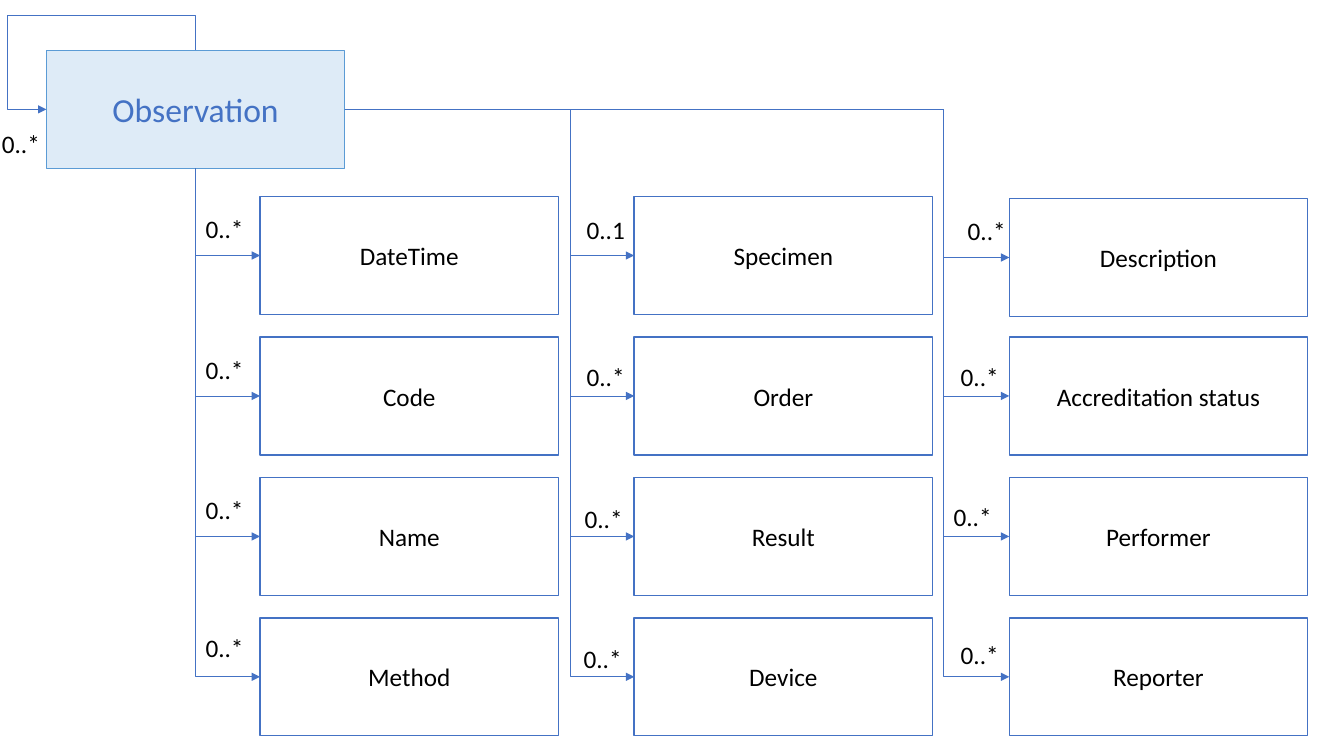
from lxml import etree
from pptx import Presentation
from pptx.dml.color import RGBColor
from pptx.enum.shapes import MSO_CONNECTOR, MSO_SHAPE
from pptx.enum.text import MSO_ANCHOR, MSO_AUTO_SIZE, PP_ALIGN
from pptx.oxml.ns import qn
from pptx.util import Inches, Pt

RECT = MSO_SHAPE.RECTANGLE
ELBOW = MSO_CONNECTOR.ELBOW
MIDDLE, TOP = MSO_ANCHOR.MIDDLE, MSO_ANCHOR.TOP
LEFT, CENTER = PP_ALIGN.LEFT, PP_ALIGN.CENTER
GROW = MSO_AUTO_SIZE.SHAPE_TO_FIT_TEXT

COLORS = {"blue": "4472C4", "root_fill": "DEEBF7", "root_line": "5B9BD5",
          "white": "FFFFFF", "black": "000000"}

BOX_W, BOX_H = 2.96, 1.17
ROOT_X, ROOT_Y = 0.46, 0.5
ROOT_MID_X, ROOT_MID_Y = ROOT_X + BOX_W / 2, ROOT_Y + BOX_H / 2
FIRST_ROW, LAST_ROW = 1.95, 6.13
ROW_STEP = (LAST_ROW - FIRST_ROW) / 3

# Per column: box left, trunk x, then (name, multiplicity, label left, label top)
COLUMNS = [
    (2.58, ROOT_MID_X, [("DateTime", "0..*", 1.94, 2.07),
                        ("Code", "0..*", 1.94, 3.47),
                        ("Name", "0..*", 1.94, 4.86),
                        ("Method", "0..*", 1.94, 6.22)]),
    (6.29, 5.66, [("Specimen", "0..1", 5.72, 2.08),
                  ("Order", "0..*", 5.72, 3.54),
                  ("Result", "0..*", 5.7, 4.94),
                  ("Device", "0..*", 5.69, 6.33)]),
    (10.01, 9.36, [("Description", "0..*", 9.5, 2.09),
                   ("Accreditation status", "0..*", 9.43, 3.54),
                   ("Performer", "0..*", 9.36, 4.92),
                   ("Reporter", "0..*", 9.43, 6.29)]),
]
ROW_SHIFT = {"Description": 0.02}  # sits slightly below its row


def rgb(name):
    return RGBColor.from_string(COLORS[name])


def write_text(frame, text, size=18, color="black", align=LEFT, anchor=TOP):
    frame.word_wrap = True
    frame.vertical_anchor = anchor
    paragraph = frame.paragraphs[0]
    paragraph.alignment = align
    run = paragraph.add_run()
    run.text = text
    run.font.name = "Calibri"
    run.font.size = Pt(size)
    run.font.color.rgb = rgb(color)


def add_box(slide, x, y, text, fill="white", line="blue", weight=1, **text_format):
    box = slide.shapes.add_shape(RECT, Inches(x), Inches(y), Inches(BOX_W), Inches(BOX_H))
    box.shadow.inherit = False
    box.fill.solid()
    box.fill.fore_color.rgb = rgb(fill)
    box.line.color.rgb = rgb(line)
    box.line.width = Pt(weight)
    write_text(box.text_frame, text, align=CENTER, anchor=MIDDLE, **text_format)


def add_multiplicity(slide, x, y, text):
    label = slide.shapes.add_textbox(Inches(x), Inches(y), Inches(0.76), Inches(0.4))
    write_text(label.text_frame, text)
    label.text_frame.auto_size = GROW


def add_elbow(slide, start, end, preset, bends=(), vertical_start=False):
    """Bent arrow; bends are fractions of its extent along each leg."""
    (x1, y1), (x2, y2) = start, end
    if vertical_start:
        # A quarter turn swaps width and height about the midpoint
        mid_x, mid_y = (x1 + x2) / 2, (y1 + y2) / 2
        half_w, half_h = abs(y2 - y1) / 2, abs(x2 - x1) / 2
        corners = (mid_x - half_w, mid_y - half_h, mid_x + half_w, mid_y + half_h)
    else:
        corners = (x1, y1, x2, y2)
    arrow = slide.shapes.add_connector(ELBOW, *[Inches(value) for value in corners])
    arrow.line.color.rgb = rgb("blue")
    arrow.line.width = Pt(0.5)

    properties = arrow._element.spPr
    if vertical_start:
        transform = properties.find(qn("a:xfrm"))
        transform.set("rot", "16200000")
        transform.set("flipH", "1")
        if x2 < x1:
            transform.set("flipV", "1")

    # Bend positions, arrowhead and no shadow
    geometry = properties.find(qn("a:prstGeom"))
    geometry.set("prst", preset)
    adjustments = geometry.find(qn("a:avLst"))
    for number, bend in enumerate(bends, 1):
        name = "adj" if preset == "bentConnector2" else f"adj{number}"
        etree.SubElement(adjustments, qn("a:gd"), name=name,
                         fmla=f"val {round(bend * 100000)}")
    etree.SubElement(properties.find(qn("a:ln")), qn("a:tailEnd"), type="triangle")
    etree.SubElement(properties, qn("a:effectLst"))


def add_element(slide, column, box_x, trunk_x, row, element):
    name, multiplicity, label_x, label_y = element
    box_y = FIRST_ROW + row * ROW_STEP + ROW_SHIFT.get(name, 0)
    target = (box_x, box_y + BOX_H / 2)
    add_box(slide, box_x, box_y, name)
    if column == 0:
        add_elbow(slide, (ROOT_MID_X, ROOT_Y + BOX_H), target, "bentConnector2",
                  vertical_start=True)
    else:
        root_right = ROOT_X + BOX_W
        bend = (trunk_x - root_right) / (box_x - root_right)
        add_elbow(slide, (root_right, ROOT_MID_Y), target, "bentConnector3", [bend])
    add_multiplicity(slide, label_x, label_y, multiplicity)


def main():
    deck = Presentation()
    deck.slide_width, deck.slide_height = Inches(13.33), Inches(7.5)
    slide = deck.slides.add_slide(deck.slide_layouts[6])

    # Observation and its reference to itself
    add_box(slide, ROOT_X, ROOT_Y, "Observation", fill="root_fill", line="root_line",
            weight=0.5, size=24, color="blue")
    add_elbow(slide, (ROOT_MID_X, ROOT_Y), (ROOT_X, ROOT_MID_Y), "bentConnector4",
              [-0.59, 1.26], vertical_start=True)
    add_multiplicity(slide, -0.08, 1.22, "0..*")

    # Elements of the observation
    for column, (box_x, trunk_x, elements) in enumerate(COLUMNS):
        for row, element in enumerate(elements):
            add_element(slide, column, box_x, trunk_x, row, element)

    deck.save("out.pptx")


if __name__ == "__main__":
    main()
